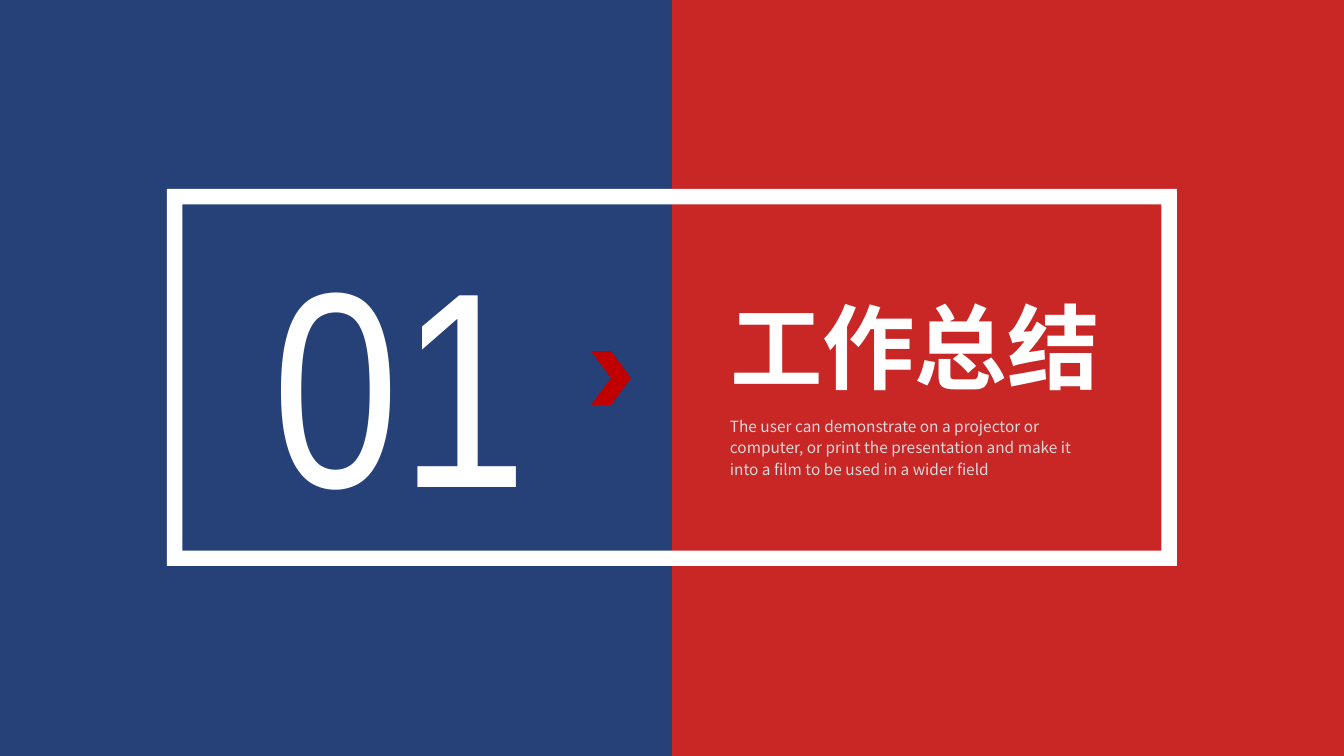
"""Build a two-colour section slide with a framed number and heading."""
from pptx import Presentation
from pptx.dml.color import RGBColor
from pptx.enum.shapes import MSO_SHAPE
from pptx.enum.text import MSO_ANCHOR, MSO_AUTO_SIZE, PP_ALIGN
from pptx.oxml.ns import qn
from pptx.util import Pt
from lxml.etree import SubElement

PX = 914400 / 100.8
WIDE, HIGH = 1344, 756
HALF = WIDE // 2
COLORS = {"navy": "002060", "red": "C00000", "white": "FFFFFF", "grey": "D9D9D9"}
SANS = "Noto Sans CJK SC"


def scale(*sizes):
    return [round(size * PX) for size in sizes]


def add_block(slide, kind, box, color, alpha=None, adjust=None):
    shape = slide.shapes.add_shape(kind, *scale(*box))
    shape.shadow.inherit = False
    shape.line.fill.background()
    shape.fill.solid()
    shape.fill.fore_color.rgb = RGBColor.from_string(COLORS[color])
    if adjust is not None:
        shape.adjustments[0] = adjust
    if alpha:
        tint = shape.element.spPr.find(qn("a:solidFill"))[0]
        SubElement(tint, qn("a:alpha"), val=str(alpha * 1000))


def set_text(shape, text, color, font, para=None, wrap=False):
    frame = shape.text_frame
    frame.text = text
    look = {"word_wrap": wrap, "auto_size": MSO_AUTO_SIZE.NONE,
            "vertical_anchor": MSO_ANCHOR.TOP}
    line = frame.paragraphs[0]
    run = line.runs[0]
    for item, values in ((frame, look), (line, para or {}), (run.font, font)):
        for name, value in values.items():
            setattr(item, name, value)
    run.font.color.rgb = RGBColor.from_string(COLORS[color])
    SubElement(run.font._element, qn("a:ea"), typeface=font["name"])


def add_text(slide, box, *args, **extra):
    set_text(slide.shapes.add_textbox(*scale(*box)), *args, **extra)


def add_title(slide, box, *args, **extra):
    title = slide.shapes.title
    for name, value in zip(("left", "top", "width", "height"), scale(*box)):
        setattr(title, name, value)
    set_text(title, *args, **extra)
    slide.shapes.element.append(title.element)


def main():
    deck = Presentation()
    deck.slide_width, deck.slide_height = scale(WIDE, HIGH)
    slide = deck.slides.add_slide(deck.slide_layouts[5])

    for side, color in enumerate(("navy", "red")):
        add_block(slide, MSO_SHAPE.RECTANGLE, (side * HALF, 0, HALF, HIGH), color, alpha=85)
    add_block(slide, MSO_SHAPE.FRAME, (167, 189, 1010, 377), "white", adjust=0.041)
    add_text(slide, (261, 204, 278, 348), "01", "white",
             {"name": "Arial Narrow", "size": Pt(199)}, {"alignment": PP_ALIGN.CENTER})
    add_title(slide, (720, 285, 393, 122), "工作总结", "white",
              {"name": SANS, "size": Pt(66), "bold": True}, {"alignment": PP_ALIGN.LEFT})
    add_block(slide, MSO_SHAPE.CHEVRON, (591, 351, 40, 54), "red")
    add_text(slide, (720, 410, 393, 73),
             "The user can demonstrate on a projector or computer, or print the "
             "presentation and make it into a film to be used in a wider field",
             "grey", {"name": SANS, "size": Pt(11)}, {"line_spacing": 1.14}, wrap=True)
    deck.save("out.pptx")


if __name__ == "__main__":
    main()
